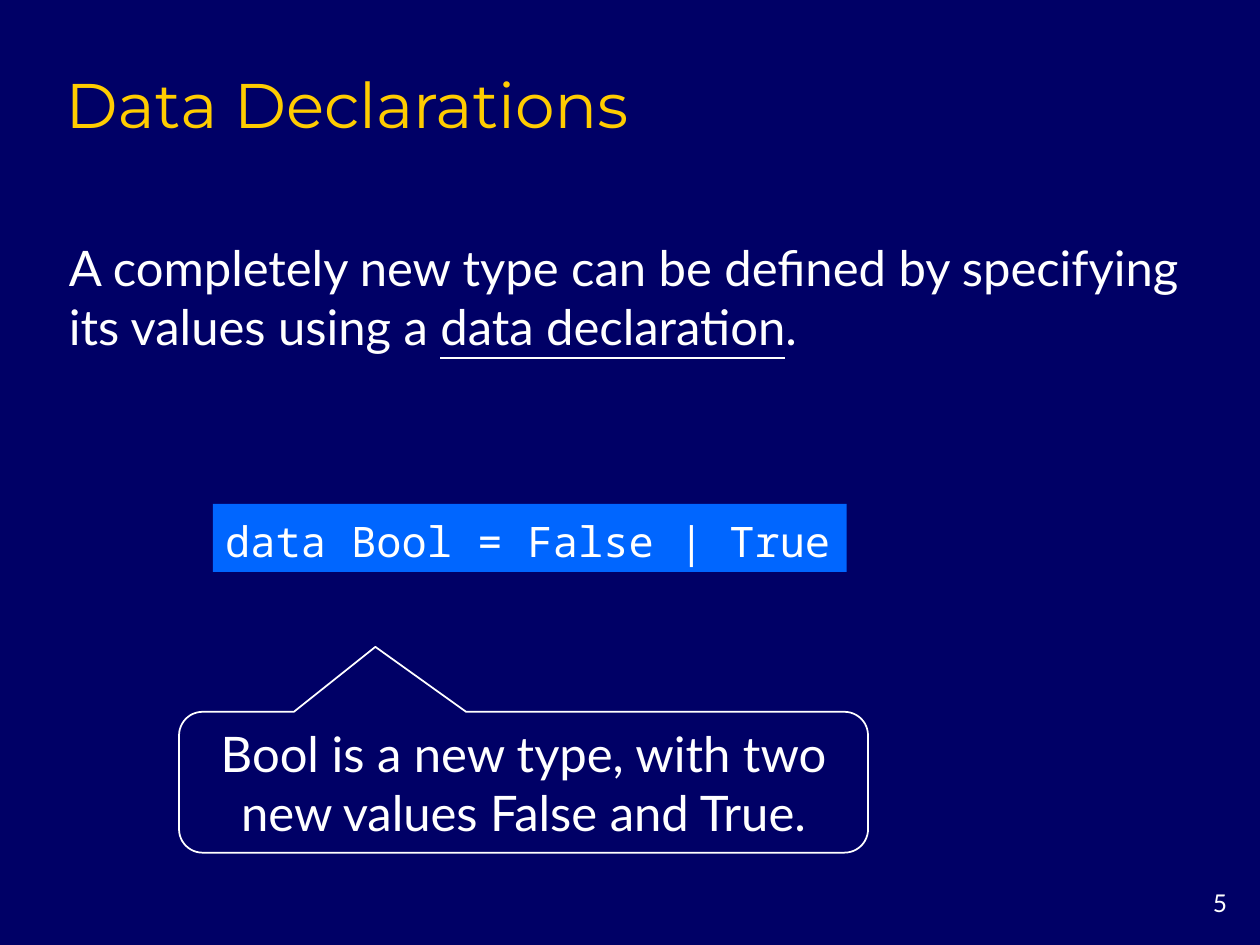
from dataclasses import dataclass

import pptx
import pptx.dml.color
import pptx.enum.shapes
import pptx.enum.text
import pptx.util

Cm = pptx.util.Cm
ALIGN = pptx.enum.text.PP_ALIGN
ANCHOR = pptx.enum.text.MSO_ANCHOR
SHAPE = pptx.enum.shapes.MSO_SHAPE

COLORS = {"navy": "000066", "gold": "FFCC00", "blue": "0066FF", "white": "FFFFFF"}


@dataclass
class Style:
    font: str
    size: int
    color: str = "white"
    align: ALIGN = ALIGN.LEFT
    anchor: ANCHOR = ANCHOR.MIDDLE
    wrap: bool = True
    spacing: float = 1.0


@dataclass
class Run:
    text: str
    underline: bool = False


@dataclass
class Box:
    """Position and size in centimetres."""
    left: float
    top: float
    width: float
    height: float

    def lengths(self) -> tuple:
        return Cm(self.left), Cm(self.top), Cm(self.width), Cm(self.height)


def rgb(name: str) -> pptx.dml.color.RGBColor:
    return pptx.dml.color.RGBColor.from_string(COLORS[name])


def write(s, runs: list[Run], style: Style) -> None:
    tf = s.text_frame
    tf.word_wrap = style.wrap
    tf.auto_size = pptx.enum.text.MSO_AUTO_SIZE.NONE
    tf.vertical_anchor = style.anchor
    p = tf.paragraphs[0]
    p.alignment = style.align
    p.line_spacing = style.spacing
    for run in runs:
        r = p.add_run()
        r.text = run.text
        r.font.name = style.font
        r.font.size = pptx.util.Pt(style.size)
        r.font.color.rgb = rgb(style.color)
        if run.underline:
            r.font.underline = True


def add_text(sp, box: Box, runs: list[Run], style: Style) -> None:
    write(sp.add_textbox(*box.lengths()), runs, style)


def add_panel(sp, kind: SHAPE, box: Box, runs: list[Run], style: Style,
              fill: str = "", line: str = ""):
    """Add a shape with text; an empty colour name means no fill or no line."""
    s = sp.add_shape(kind, *box.lengths())
    s.shadow.inherit = False
    if fill:
        s.fill.solid()
        s.fill.fore_color.rgb = rgb(fill)
    else:
        s.fill.background()
    if line:
        s.line.color.rgb = rgb(line)
        s.line.width = pptx.util.Pt(1)
    else:
        s.line.fill.background()
    write(s, runs, style)
    return s


def main() -> None:
    prs = pptx.Presentation()
    prs.slide_width, prs.slide_height = Cm(25.4), Cm(19.05)
    slide = prs.slides.add_slide(prs.slide_layouts[5])
    slide.background.fill.solid()
    slide.background.fill.fore_color.rgb = rgb("navy")
    sp = slide.shapes

    title = sp.title
    title.left, title.top, title.width, title.height = Box(1.07, 1.07, 21.59, 1.9).lengths()
    write(title, [Run("Data Declarations")],
          Style("Montserrat", 36, "gold", anchor=ANCHOR.BOTTOM))

    add_text(sp, Box(1.14, 4.67, 23.32, 2.62), [
        Run("A completely new type can be defined by specifying its values using a "),
        Run("data declaration", underline=True),
        Run("."),
    ], Style("Lato", 28))

    add_panel(sp, SHAPE.RECTANGLE, Box(4.29, 10.16, 12.78, 1.37),
              [Run("data Bool = False | True")],
              Style("Noto Sans Mono", 24, wrap=False, spacing=1.1), fill="blue")

    callout = add_panel(sp, SHAPE.ROUNDED_RECTANGULAR_CALLOUT, Box(3.61, 14.35, 13.89, 2.84),
                        [Run("Bool is a new type, with two new values False and True.")],
                        Style("Lato", 28, align=ALIGN.CENTER), line="white")
    callout.adjustments[0] = -0.215
    callout.adjustments[1] = -0.961
    callout.adjustments[2] = 0.167

    add_text(sp, Box(23.29, 17.78, 1.7, 0.84), [Run("5")],
             Style("Lato", 14, align=ALIGN.RIGHT, anchor=ANCHOR.TOP))

    prs.save("out.pptx")


if __name__ == "__main__":
    main()
